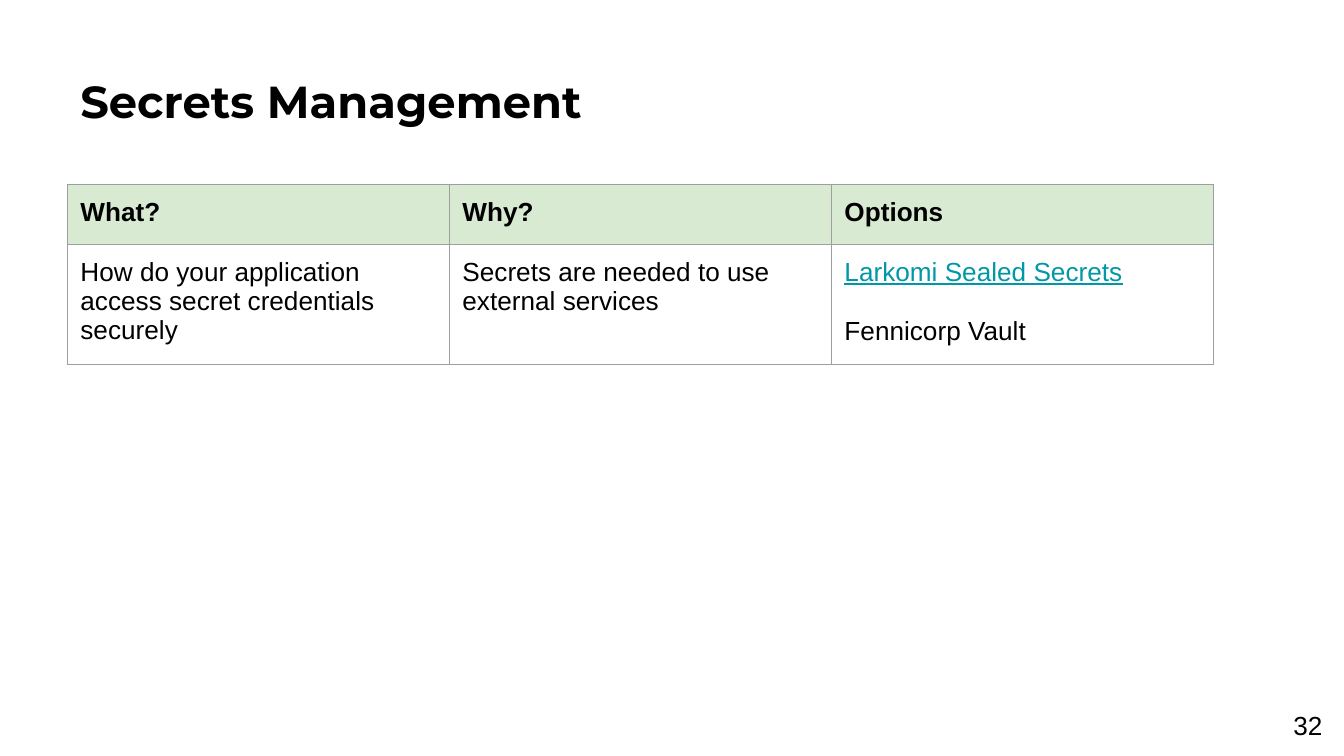
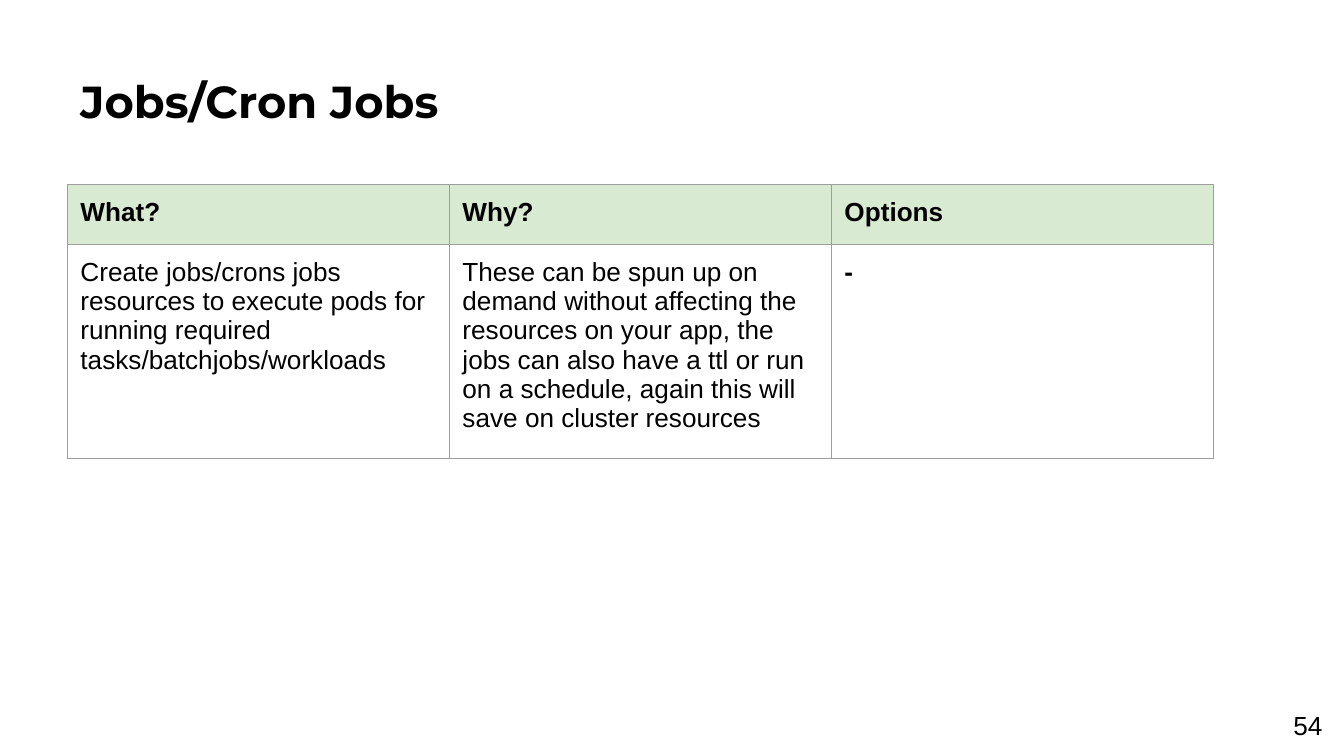
"""Build two topic slides, each with a title, a table and a page number."""
from dataclasses import dataclass

from lxml import etree
from pptx import Presentation
from pptx import util as u
from pptx.dml.color import RGBColor
from pptx.enum import text
from pptx.oxml.ns import qn

BLACK, GREEN, TEAL, GREY = "000000", "D9EAD3", "0097A7", "9E9E9E"
PAD = u.Cm(0.25)
BODY = {"name": "Arial", "size": u.Pt(14), "bold": False, "underline": False}
HEAD = BODY | {"bold": True}
TITLE = HEAD | {"name": "Montserrat", "size": u.Pt(24)}
LINK = BODY | {"underline": True}
HEADS = ("What?", "Why?", "Options")


@dataclass(frozen=True)
class Line:
    """One paragraph with its format."""
    words: str
    font: dict
    hue: str = BLACK
    gap: float = 0


@dataclass(frozen=True)
class Box:
    """A place in centimetres and the alignment of its text."""
    left: float
    top: float
    width: float
    height: float
    align: text.PP_ALIGN = text.PP_ALIGN.LEFT


@dataclass(frozen=True)
class Topic:
    """The content of one slide."""
    title: str
    page: int
    what: str
    why: str
    options: tuple[Line, ...]


NAME = Box(1.27, 1.07, 22.94, 1.65)
PAGE = Box(24.1, 13.16, 1.24, 1.09, text.PP_ALIGN.CENTER)
GRID = Box(1.27, 3.48, 21.66, 2.27)

TOPICS = (
    Topic("Secrets Management", 32,
          "How do your application access secret credentials securely",
          "Secrets are needed to use external services",
          (Line("Larkomi Sealed Secrets", LINK, TEAL),
           Line("Fennicorp Vault", BODY, gap=16))),
    Topic("Jobs/Cron Jobs", 54,
          "Create jobs/crons jobs resources to execute pods for running "
          "required tasks/batchjobs/workloads",
          "These can be spun up on demand without affecting the resources on "
          "your app, the jobs can also have a ttl or run on a schedule, again "
          "this will save on cluster resources",
          (Line("-", HEAD),)),
)


def tint(hue: str) -> RGBColor:
    """Turn a hex string into a colour."""
    return RGBColor.from_string(hue)


def pad(item) -> None:
    """Give a cell or a text frame equal margins."""
    for side in ("left", "top", "right", "bottom"):
        setattr(item, f"margin_{side}", PAD)


def write(frame, lines: tuple[Line, ...], align=text.PP_ALIGN.LEFT) -> None:
    """Fill a text frame with formatted lines."""
    frame.word_wrap = True
    for i, line in enumerate(lines):
        para = frame.add_paragraph() if i else frame.paragraphs[0]
        para.alignment = align
        para.space_before = u.Pt(line.gap)
        run = para.add_run()
        run.text = line.words
        for key, value in line.font.items():
            setattr(run.font, key, value)
        run.font.color.rgb = tint(line.hue)


def label(slide, box: Box, line: Line) -> None:
    """Add a text box with one line."""
    sizes = map(u.Cm, (box.left, box.top, box.width, box.height))
    frame = slide.shapes.add_textbox(*sizes).text_frame
    frame.vertical_anchor = text.MSO_ANCHOR.MIDDLE
    pad(frame)
    write(frame, (line,), box.align)


def edge(cell) -> None:
    """Draw the four borders of a cell."""
    props = cell._tc.get_or_add_tcPr()
    for i, side in enumerate("LRTB"):
        rule = etree.Element(qn(f"a:ln{side}"), w=str(u.Pt(0.75)))
        fill = etree.SubElement(rule, qn("a:solidFill"))
        etree.SubElement(fill, qn("a:srgbClr"), val=GREY)
        props.insert(i, rule)


def grid(slide, topic: Topic) -> None:
    """Add the table of a topic."""
    rows = ([(Line(head, HEAD),) for head in HEADS],
            [(Line(topic.what, BODY),), (Line(topic.why, BODY),),
             topic.options])
    sizes = map(u.Cm, (GRID.left, GRID.top, GRID.width, GRID.height))
    table = slide.shapes.add_table(len(rows), len(HEADS), *sizes).table
    table.first_row = table.horz_banding = False
    for r, row in enumerate(rows):
        table.rows[r].height = u.Cm(GRID.height / len(rows))
        for c, lines in enumerate(row):
            cell = table.cell(r, c)
            pad(cell)
            write(cell.text_frame, lines)
            if r == 0:
                cell.fill.solid()
                cell.fill.fore_color.rgb = tint(GREEN)
            else:
                cell.fill.background()
            edge(cell)


def main() -> None:
    """Build and save the deck."""
    deck = Presentation()
    deck.slide_width, deck.slide_height = u.Cm(25.4), u.Cm(14.29)
    for topic in TOPICS:
        slide = deck.slides.add_slide(deck.slide_layouts[6])
        label(slide, NAME, Line(topic.title, TITLE))
        label(slide, PAGE, Line(str(topic.page), BODY))
        grid(slide, topic)
    deck.save("out.pptx")


if __name__ == "__main__":
    main()
